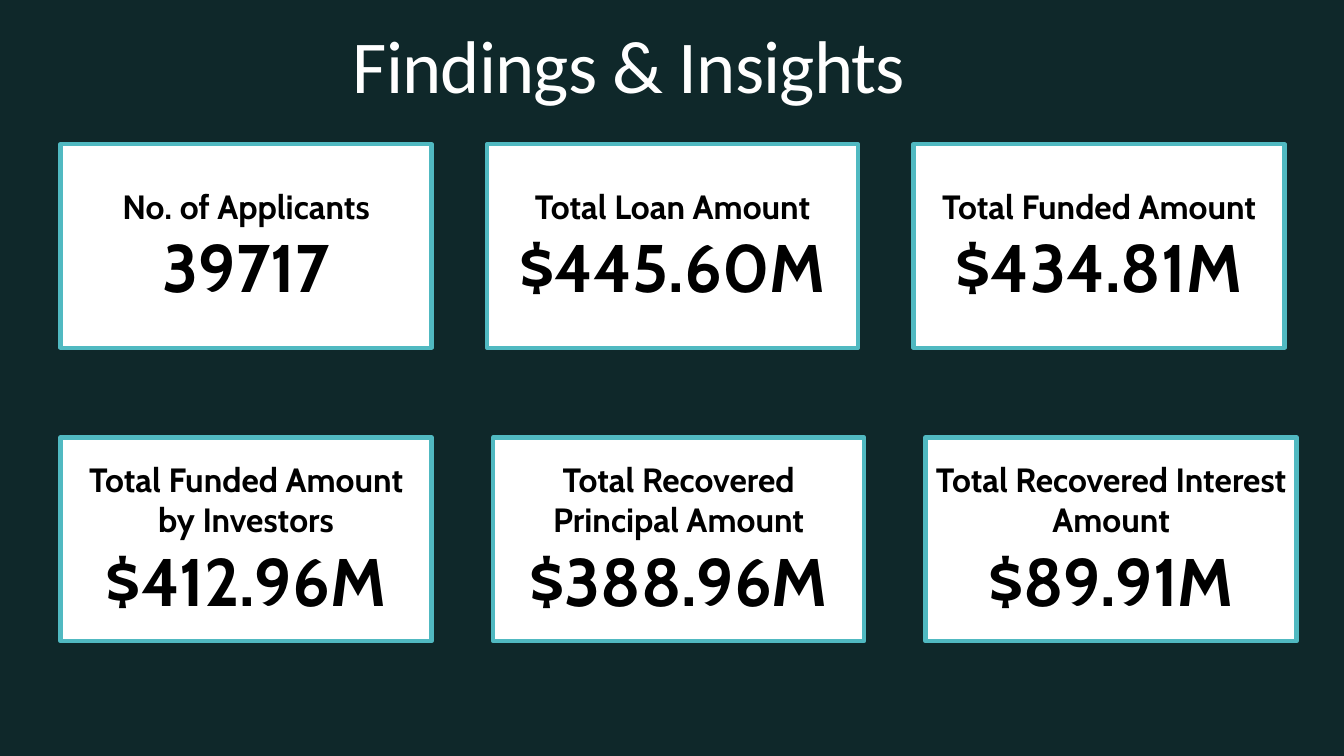
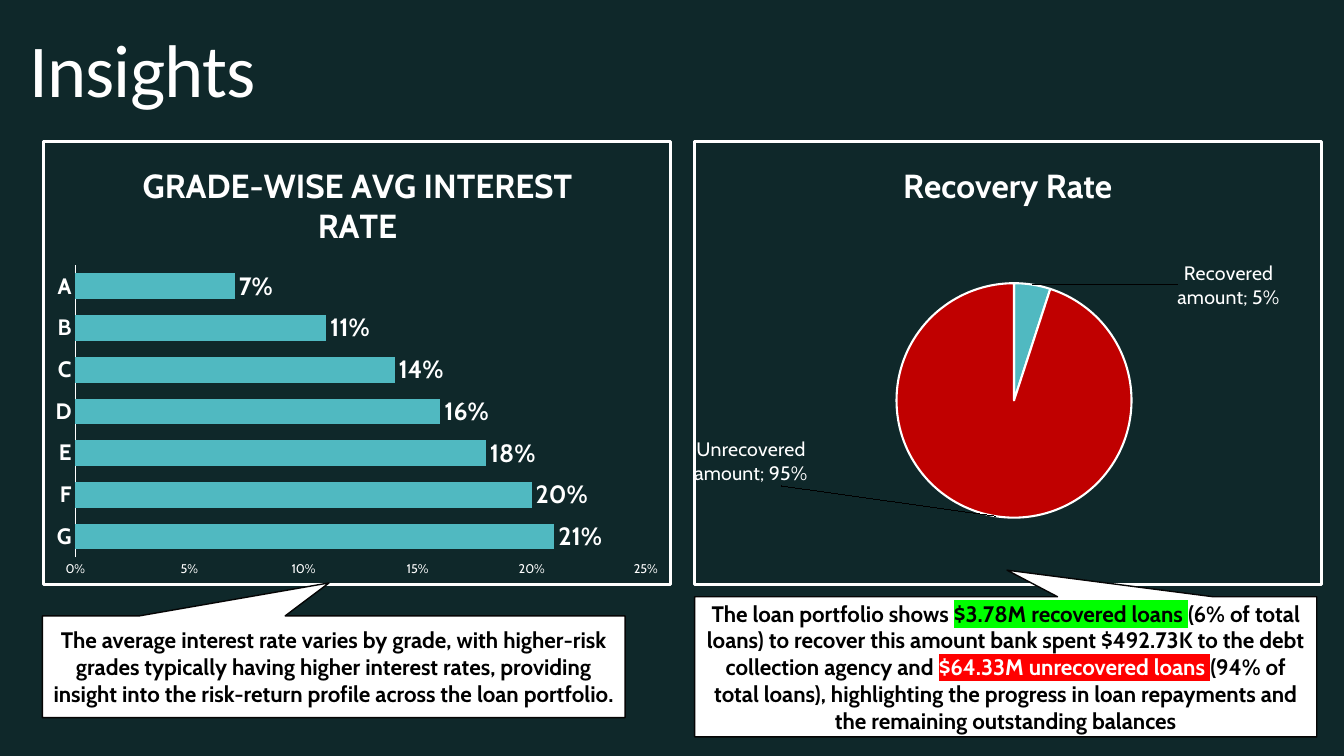
"""Build the loan findings and insights slides."""
import dataclasses
import typing

import lxml.etree
import pptx
import pptx.chart.data
import pptx.dml.color
import pptx.enum.chart
import pptx.enum.shapes
import pptx.enum.text
import pptx.oxml
import pptx.oxml.ns
import pptx.util

Inches = pptx.util.Inches
Pt = pptx.util.Pt
qn = pptx.oxml.ns.qn
Kind = pptx.enum.chart.XL_CHART_TYPE
Spot = pptx.enum.chart.XL_LABEL_POSITION
Form = pptx.enum.shapes.MSO_SHAPE
Align = pptx.enum.text.PP_ALIGN
Anchor = pptx.enum.text.MSO_ANCHOR

DARK, WHITE, BLACK = "0F282A", "FFFFFF", "000000"
TEAL, RED, EDGE = "50B9C1", "C00000", "050505"
FACE, HEAD = "Cabin", "Calibri"


@dataclasses.dataclass
class Box:
    """Place and size in inches."""
    left: float
    top: float
    width: float
    height: float

    def size(self) -> tuple:
        """Return the four lengths."""
        return tuple(Inches(v) for v in dataclasses.astuple(self))


@dataclasses.dataclass
class Card:
    """A label above a large figure."""
    label: str
    value: str


@dataclasses.dataclass
class Span:
    """A piece of text with an optional marker."""
    text: str
    color: str = BLACK
    mark: str = ""


@dataclasses.dataclass
class Note:
    """A callout with its pointer and text."""
    box: Box
    tip: tuple
    spans: list


@dataclasses.dataclass
class Graph:
    """A framed chart with its data and plot area."""
    kind: typing.Any
    box: Box
    title: str
    data: dict
    plot: tuple


ROWS = [
    (1.43, 4.23, [Card("No. of Applicants", "39717"),
                  Card("Total Loan Amount", "$445.60M"),
                  Card("Total Funded Amount", "$434.81M")]),
    (4.34, 4.29, [Card("Total Funded Amount by Investors", "$412.96M"),
                  Card("Total Recovered Principal Amount", "$388.96M"),
                  Card("Total Recovered Interest Amount", "$89.91M")]),
]
RATES = Graph(
    Kind.BAR_CLUSTERED, Box(0.42, 1.39, 6.25, 4.42), "GRADE-WISE AVG INTEREST RATE",
    dict(zip("GFEDCBA", (0.21, 0.2, 0.18, 0.16, 0.14, 0.11, 0.07))),
    (0.05, 0.28, 0.91, 0.66))
SHARES = Graph(
    Kind.PIE, Box(6.87, 1.39, 6.25, 4.42), "Recovery Rate",
    {"Recovered amount": 0.05, "Unrecovered amount": 0.95},
    (0.32, 0.32, 0.38, 0.53))
SLICES = [(TEAL, 0.23, 0.07), (RED, -0.34, -0.19)]
NOTES = [
    Note(Box(0.42, 6.11, 5.78, 1.01), (-0.008, -0.824), [
        Span("The average interest rate varies by grade, with higher-risk grades "
             "typically having higher interest rates, providing insight into the "
             "risk-return profile across the loan portfolio.")]),
    Note(Box(6.89, 5.92, 6.17, 1.39), (0.002, -0.69), [
        Span("The loan portfolio shows "),
        Span("$3.78M recovered loans ", mark="00FF00"),
        Span("(6% of total loans) to recover this amount bank spent $492.73K "
             "to the debt collection agency and "),
        Span("$64.33M unrecovered loans ", WHITE, "FF0000"),
        Span("(94% of total loans), highlighting the progress in loan repayments "
             "and the remaining outstanding balances")]),
]


def tint(code: str) -> pptx.dml.color.RGBColor:
    """Turn a hex string into a colour."""
    return pptx.dml.color.RGBColor.from_string(code)


def style(font: typing.Any, size: float, color: str = WHITE, bold: bool = False,
          face: str = FACE) -> None:
    """Set size, colour, weight and face of a font."""
    font.size, font.bold, font.name = Pt(size), bold, face
    font.color.rgb = tint(color)


def write(para: typing.Any, text: str, mark: str = "", track: int = 0,
          **look: typing.Any) -> None:
    """Add a formatted run to a paragraph."""
    run = para.add_run()
    run.text = text
    style(run.font, **look)
    props = run.font.fill._xPr
    if track:
        props.set("spc", str(track))
    if mark:
        glow = lxml.etree.Element(qn("a:highlight"))
        lxml.etree.SubElement(glow, qn("a:srgbClr")).set("val", mark)
        props.find(qn("a:solidFill")).addnext(glow)


def head(deck: typing.Any, text: str, box: Box) -> typing.Any:
    """Add a slide with its title."""
    slide = deck.slides.add_slide(deck.slide_layouts[5])
    title = slide.shapes.title
    title.left, title.top, title.width, title.height = box.size()
    frame = title.text_frame
    frame.margin_left = frame.margin_right = frame.margin_bottom = 0
    frame.margin_top = Inches(0.01)
    frame.vertical_anchor = Anchor.TOP
    frame.word_wrap = True
    para = frame.paragraphs[0]
    para.alignment = Align.LEFT
    write(para, text, size=53.3, face=HEAD, track=-60)
    return slide


def panel(slide: typing.Any, form: typing.Any, box: Box, edge: str,
          weight: float) -> typing.Any:
    """Add a white outlined shape ready for centred text."""
    shape = slide.shapes.add_shape(form, *box.size())
    shape.shadow.inherit = False
    shape.fill.solid()
    shape.fill.fore_color.rgb = tint(WHITE)
    shape.line.color.rgb = tint(edge)
    shape.line.width = Pt(weight)
    shape.text_frame.word_wrap = True
    shape.text_frame.vertical_anchor = Anchor.MIDDLE
    shape.text_frame.paragraphs[0].alignment = Align.CENTER
    return shape


def tile(slide: typing.Any, card: Card, box: Box) -> None:
    """Draw one figure card."""
    frame = panel(slide, Form.RECTANGLE, box, TEAL, 3).text_frame
    write(frame.paragraphs[0], card.label, size=24, color=BLACK, bold=True)
    para = frame.add_paragraph()
    para.alignment = Align.CENTER
    write(para, card.value, size=48, color=BLACK, bold=True)


def remark(slide: typing.Any, note: Note) -> None:
    """Draw one callout."""
    shape = panel(slide, Form.RECTANGULAR_CALLOUT, note.box, EDGE, 1)
    for i, value in enumerate(note.tip):
        shape.adjustments[i] = value
    for span in note.spans:
        write(shape.text_frame.paragraphs[0], span.text, mark=span.mark,
              size=16, color=span.color, bold=True)


def layout(**parts: typing.Any) -> typing.Any:
    """Make a manual chart layout."""
    root = lxml.etree.Element(qn("c:layout"))
    manual = lxml.etree.SubElement(root, qn("c:manualLayout"))
    for name, value in parts.items():
        lxml.etree.SubElement(manual, qn(f"c:{name}")).set("val", str(value))
    return root


def graph(slide: typing.Any, item: Graph) -> typing.Any:
    """Add a framed chart with its title and plot area."""
    data = pptx.chart.data.CategoryChartData(number_format="0%")
    data.categories = list(item.data)
    data.add_series("Series 1", list(item.data.values()))
    chart = slide.shapes.add_chart(item.kind, *item.box.size(), data).chart
    style(chart.font, 10)
    chart.has_legend = False
    chart.has_title = True
    write(chart.chart_title.text_frame.paragraphs[0], item.title, size=24, bold=True)
    chart.chart_title.include_in_layout = False
    root = chart.element.find(qn("c:chart"))
    root.addnext(pptx.oxml.parse_xml(
        f'<c:spPr {pptx.oxml.ns.nsdecls("c", "a")}><a:noFill/><a:ln w="{Pt(2.25)}">'
        f'<a:solidFill><a:srgbClr val="{WHITE}"/></a:solidFill></a:ln></c:spPr>'))
    area = root.find(qn("c:plotArea"))
    for old in area.findall(qn("c:layout")):
        area.remove(old)
    x, y, w, h = item.plot
    area.insert(0, layout(layoutTarget="inner", xMode="edge", yMode="edge",
                          x=x, y=y, w=w, h=h))
    return chart


def tag(labels: typing.Any, spot: typing.Any, size: float, bold: bool = False) -> None:
    """Format the data labels of a series."""
    labels.show_value = True
    labels.number_format = "0%"
    labels.number_format_is_linked = False
    labels.position = spot
    style(labels.font, size, bold=bold)


def bars(slide: typing.Any) -> None:
    """Draw the rate by grade."""
    chart = graph(slide, RATES)
    plot = chart.plots[0]
    plot.gap_width = 62
    plot.vary_by_categories = False
    row = plot.series[0]
    row.format.fill.solid()
    row.format.fill.fore_color.rgb = tint(TEAL)
    tag(row.data_labels, Spot.OUTSIDE_END, 18, True)
    grade, rate = chart.category_axis, chart.value_axis
    for axis, size in ((grade, 16), (rate, 9)):
        axis.has_major_gridlines = False
        axis.major_tick_mark = axis.minor_tick_mark = pptx.enum.chart.XL_TICK_MARK.NONE
        style(axis.tick_labels.font, size, bold=axis is grade)
    grade.format.line.color.rgb = tint(WHITE)
    grade.format.line.width = Pt(0.75)
    rate.format.line.fill.background()
    rate.minimum_scale, rate.maximum_scale, rate.major_unit = 0, 0.25, 0.05
    rate.tick_labels.number_format = "0%"
    rate.tick_labels.number_format_is_linked = False


def pie(slide: typing.Any) -> None:
    """Draw the recovered share."""
    plot = graph(slide, SHARES).plots[0]
    plot.vary_by_categories = True
    row = plot.series[0]
    labels = row.data_labels
    tag(labels, Spot.BEST_FIT, 14)
    labels.show_category_name = True
    for i, (color, x, y) in enumerate(SLICES):
        point = row.points[i]
        point.format.fill.solid()
        point.format.fill.fore_color.rgb = tint(color)
        point.format.line.color.rgb = tint(WHITE)
        point.format.line.width = Pt(1.5)
        style(point.data_label.font, 14)
        point.data_label.position = Spot.BEST_FIT
        node = labels._element.findall(qn("c:dLbl"))[i]
        node.find(qn("c:showCatName")).set("val", "1")
        place = layout(x=x, y=y)
        node.find(qn("c:idx")).addnext(place)
        form = lxml.etree.Element(qn("c:numFmt"), formatCode="0%", sourceLinked="0")
        place.addnext(form)


def main() -> None:
    """Build and save the deck."""
    deck = pptx.Presentation()
    deck.slide_width, deck.slide_height = Inches(13.33), Inches(7.5)
    back = deck.slide_master.background.fill
    back.solid()
    back.fore_color.rgb = tint(DARK)
    slide = head(deck, "Findings & Insights", Box(3.5, 0.18, 7.51, 0.91))
    for top, step, cards in ROWS:
        for i, card in enumerate(cards):
            tile(slide, card, Box(0.6 + i * step, top, 3.68, 2.02))
    slide = head(deck, "Insights", Box(0.29, 0.22, 2.6, 0.91))
    bars(slide)
    pie(slide)
    for note in NOTES:
        remark(slide, note)
    deck.save("out.pptx")


if __name__ == "__main__":
    main()
